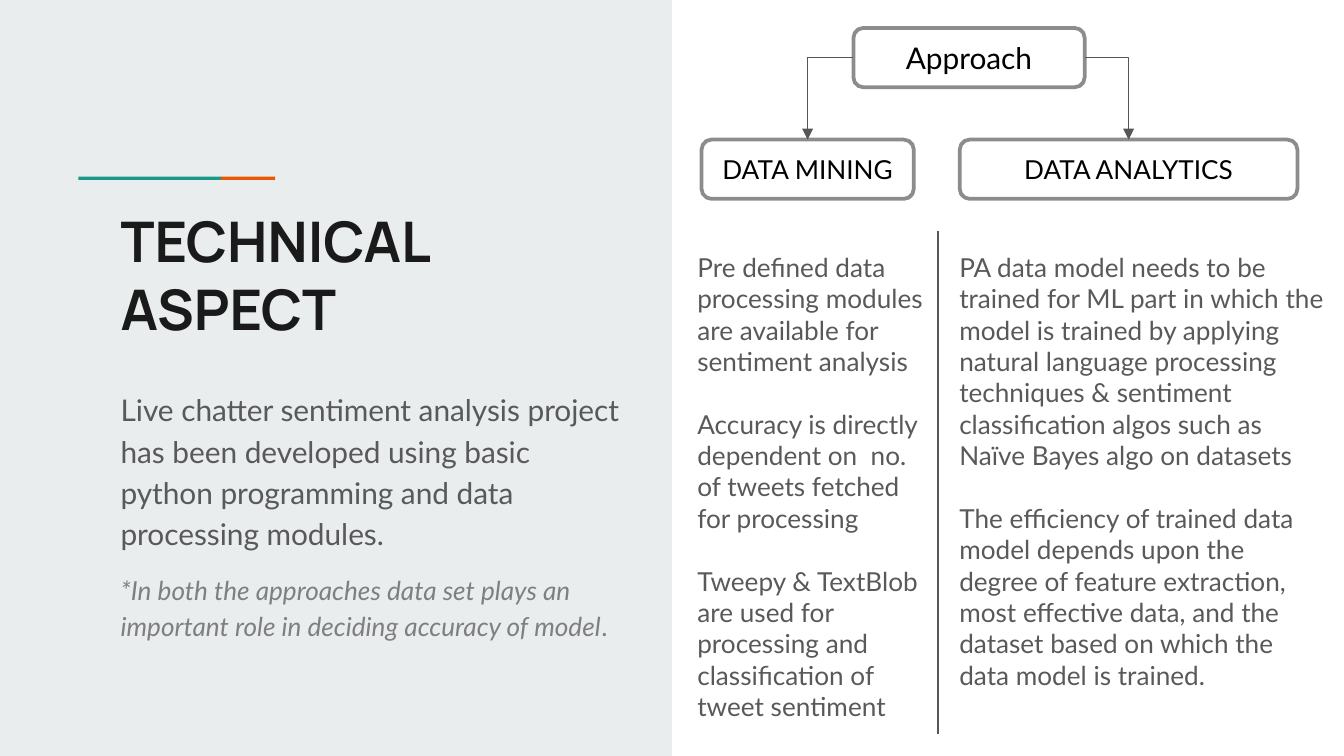
from pptx import Presentation
from pptx import util as u
from pptx.dml.color import RGBColor
from pptx.enum import shapes, text
from pptx.oxml import parse_xml
from pptx.oxml.ns import nsdecls, qn

Cm, Pt = u.Cm, u.Pt
COLORS = {
    "panel": "E9EDEE", "teal": "1A9988", "orange": "EB5600",
    "title": "1A1A1A", "body": "595959", "note": "7F7F7F",
    "label": "000000", "border": "8C8C8C", "line": "565656",
}
INSET = 0.25
SUMMARY = ("Live chatter sentiment analysis project has been developed using "
           "basic python programming and data processing modules.")
NOTE = ("*In both the approaches data set plays an important role in "
        "deciding accuracy of model")
MINING = [
    "Pre defined data processing modules are available for sentiment analysis",
    "Accuracy is directly dependent on  no. of tweets fetched for processing",
    "Tweepy & TextBlob are used for processing and classification of tweet sentiment",
]
ANALYTICS = [
    "PA data model needs to be trained for ML part in which the model is trained "
    "by applying natural language processing techniques & sentiment classification "
    "algos such as Naïve Bayes algo on datasets",
    "The efficiency of trained data model depends upon the degree of feature "
    "extraction, most effective data, and the dataset based on which the data "
    "model is trained.",
]


def color(name):
    return RGBColor.from_string(COLORS[name])


def write(paragraph, words, *, size=14, tint="body", font="Lato", bold=False,
          italic=False, align=text.PP_ALIGN.LEFT, spacing=1.0, before=0):
    paragraph.alignment = align
    paragraph.line_spacing = spacing
    paragraph.space_before = Pt(before)
    run = paragraph.add_run()
    run.text = words
    run.font.name, run.font.size = font, Pt(size)
    run.font.bold, run.font.italic = bold, italic
    run.font.color.rgb = color(tint)


def prepare(frame, horizontal=INSET, vertical=INSET, anchor=text.MSO_ANCHOR.TOP):
    """Set wrapping, margins and anchor of a text frame."""
    frame.word_wrap = True
    frame.auto_size = text.MSO_AUTO_SIZE.NONE
    frame.margin_left = frame.margin_right = Cm(horizontal)
    frame.margin_top = frame.margin_bottom = Cm(vertical)
    frame.vertical_anchor = anchor
    return frame


def add_block(slide, left, top, width, height, fill):
    shape = slide.shapes.add_shape(shapes.MSO_SHAPE.RECTANGLE,
                                   Cm(left), Cm(top), Cm(width), Cm(height))
    shape.shadow.inherit = False
    shape.fill.solid()
    shape.fill.fore_color.rgb = color(fill)
    shape.line.fill.background()


def add_line(slide, start, end, kind=shapes.MSO_CONNECTOR.STRAIGHT):
    line = slide.shapes.add_connector(kind, *map(Cm, start + end))
    line.line.color.rgb = color("line")
    line.line.width = Pt(0.75)
    line.element.spPr.append(parse_xml(f"<a:effectLst {nsdecls('a')}/>"))
    return line


def add_branch(slide, start, end):
    """Arrow that runs sideways, then turns down once."""
    branch = add_line(slide, start, end, shapes.MSO_CONNECTOR.ELBOW)
    branch.element.spPr.find(qn("a:prstGeom")).set("prst", "bentConnector2")
    branch.line._get_or_add_ln().append(
        parse_xml(f'<a:tailEnd {nsdecls("a")} type="triangle"/>'))


def add_label(slide, left, top, width, height, words, size):
    shape = slide.shapes.add_shape(shapes.MSO_SHAPE.ROUNDED_RECTANGLE,
                                   Cm(left), Cm(top), Cm(width), Cm(height))
    shape.shadow.inherit = False
    shape.fill.background()
    shape.line.color.rgb = color("border")
    shape.line.width = Pt(2)
    frame = prepare(shape.text_frame, 0, 0, text.MSO_ANCHOR.MIDDLE)
    write(frame.paragraphs[0], words, size=size, tint="label",
          align=text.PP_ALIGN.CENTER)


def add_column(slide, left, top, width, height, points):
    box = slide.shapes.add_textbox(Cm(left), Cm(top), Cm(width), Cm(height))
    frame = prepare(box.text_frame, vertical=0.13)
    for index, point in enumerate(points):
        paragraph = frame.paragraphs[0] if index == 0 else frame.add_paragraph()
        write(paragraph, point, before=16.8 if index else 0)


def build_summary(slide, left, top, width, height):
    add_block(slide, left, top, width, height, "panel")
    add_block(slide, left + 1.48, top + 3.34, 2.7, 0.06, "teal")
    add_block(slide, left + 4.18, top + 3.34, 1.02, 0.06, "orange")

    title = slide.shapes.title
    title.element.getparent().append(title.element)  # in front of the panel
    title.left, title.top = Cm(left + 2.03), Cm(top + 3.66)
    title.width, title.height = Cm(9.17), Cm(3.4)
    write(prepare(title.text_frame).paragraphs[0], "TECHNICAL ASPECT",
          size=30, tint="title", font="Manrope", bold=True)

    box = slide.shapes.add_textbox(Cm(left + 2.03), Cm(top + 7.06),
                                   Cm(10.08), Cm(5.46))
    frame = prepare(box.text_frame)
    write(frame.paragraphs[0], SUMMARY, size=16, spacing=1.15)
    note = frame.add_paragraph()
    for words, italic in ((NOTE, True), (".", False)):
        write(note, words, tint="note", italic=italic, spacing=1.15, before=10)


def build_approach(slide, left, top, width, height):
    label_height, root_top, child_top = 1.12, top + 0.53, top + 2.64
    root_left, root_width = left + 3.43, 4.37
    root_middle = root_top + label_height / 2
    add_label(slide, root_left, root_top, root_width, label_height, "Approach", 16)

    children = (
        ("DATA MINING", 0.56, 4.01, root_left, MINING, 0.23, 4.93),
        ("DATA ANALYTICS", 5.44, 6.38, root_left + root_width, ANALYTICS, 5.18, 7.44),
    )
    text_top = top + 4.62
    for name, offset, label_width, exit_x, points, text_offset, text_width in children:
        add_label(slide, left + offset, child_top, label_width, label_height, name, 14)
        add_branch(slide, (exit_x, root_middle),
                   (left + offset + label_width / 2, child_top))
        add_column(slide, left + text_offset, text_top, text_width,
                   height - 4.62, points)
    add_line(slide, (left + 5.03, top + 4.37), (left + 5.03, top + 13.87))


def main():
    presentation = Presentation()
    presentation.slide_width, presentation.slide_height = Cm(25.4), Cm(14.29)
    slide = presentation.slides.add_slide(presentation.slide_layouts[5])
    build_summary(slide, 0, 0, 12.7, 14.29)
    build_approach(slide, 12.7, 0, 12.7, 14.29)
    presentation.save("out.pptx")


if __name__ == "__main__":
    main()
